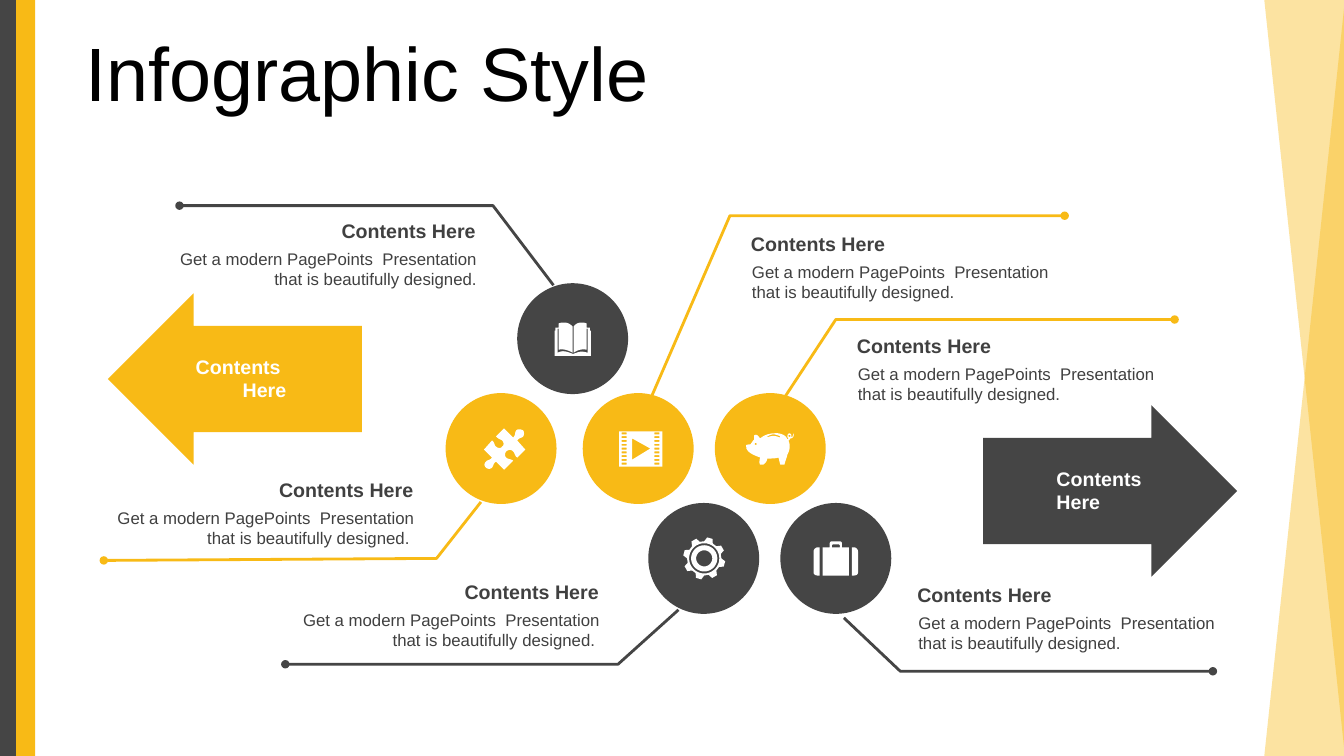
from math import cos, radians, sin
from lxml import etree
from pptx import Presentation
from pptx.dml.color import RGBColor
from pptx.enum.shapes import MSO_SHAPE as Shape
from pptx.enum.text import MSO_ANCHOR as Anchor, MSO_AUTO_SIZE as AutoSize, PP_ALIGN as Align
from pptx.oxml.ns import qn
from pptx.util import Inches, Pt

GOLD, GRAY, WHITE, TEXT, BLACK = "F8BA16", "454545", "FFFFFF", "404040", "000000"
HEADING = "Contents Here"
BODY = "Get a modern PagePoints  Presentation that is beautifully designed."
ITEMS = [
    (1.67, 2.42, 3.16, Align.RIGHT, BODY),
    (0.88, 4.99, 3.33, Align.RIGHT, BODY + " "),
    (2.62, 6.0, 3.43, Align.RIGHT, BODY + " "),
    (7.36, 2.55, 3.15, Align.LEFT, BODY),
    (8.41, 3.56, 3.23, Align.LEFT, BODY),
    (9.01, 6.03, 3.21, Align.LEFT, BODY),
]
ARROWS = [
    (1.07, 2.91, 0, GOLD, 1.7, 3.47, Align.RIGHT, ["Contents ", "Here"]),
    (9.75, 4.02, 180, GRAY, 10.38, 4.58, Align.LEFT, ["Contents", "Here"]),
]
CIRCLES = [(5.13, 2.81, GRAY), (4.42, 3.9, GOLD), (5.78, 3.9, GOLD),
           (7.09, 3.9, GOLD), (6.43, 4.99, GRAY), (7.74, 4.99, GRAY)]
LEADERS = [
    (GRAY, [(5.49, 2.83), (4.89, 2.04), (1.78, 2.04)]),
    (GOLD, [(4.77, 4.98), (4.33, 5.54), (1.03, 5.56)]),
    (GRAY, [(6.73, 6.05), (6.13, 6.59), (2.83, 6.59)]),
    (GRAY, [(8.37, 6.13), (8.93, 6.66), (12.03, 6.66)]),
    (GOLD, [(6.46, 3.94), (7.24, 2.14), (10.56, 2.14)]),
    (GOLD, [(7.79, 3.93), (8.29, 3.17), (11.65, 3.17)]),
]
PUZZLE = [[
    (5.19, 4.27), (5.2, 4.29, 5.2, 4.31, 5.19, 4.33), (5.17, 4.35, 5.15, 4.34, 5.13, 4.37),
    (5.21, 4.46), (5.13, 4.54), (5.1, 4.52, 5.11, 4.49, 5.08, 4.47),
    (5.06, 4.46, 5.04, 4.46, 5.02, 4.48), (5.01, 4.49, 5, 4.52, 5.02, 4.54),
    (5.05, 4.56, 5.06, 4.55, 5.09, 4.57), (5, 4.66), (4.92, 4.58),
    (4.89, 4.6, 4.9, 4.61, 4.88, 4.64), (4.86, 4.66, 4.83, 4.65, 4.82, 4.64),
    (4.8, 4.62, 4.8, 4.6, 4.82, 4.58), (4.83, 4.56, 4.86, 4.57, 4.88, 4.54),
    (4.8, 4.46), (4.88, 4.37), (4.91, 4.39, 4.9, 4.42, 4.92, 4.43),
    (4.94, 4.45, 4.97, 4.45, 4.98, 4.43), (5, 4.42, 5, 4.39, 4.98, 4.37),
    (4.95, 4.35, 4.95, 4.36, 4.92, 4.33), (5, 4.25), (5.09, 4.34),
    (5.12, 4.31, 5.1, 4.3, 5.12, 4.27), (5.14, 4.25, 5.17, 4.26, 5.19, 4.27),
]]
BOOK = [[
    (5.68, 3.51), (5.69, 3.51), (5.74, 3.49, 5.77, 3.48, 5.83, 3.5), (5.83, 3.26),
    (5.82, 3.26), (5.82, 3.47), (5.78, 3.46, 5.73, 3.47, 5.69, 3.5), (5.69, 3.24),
    (5.71, 3.21, 5.74, 3.2, 5.77, 3.2), (5.78, 3.2, 5.8, 3.2, 5.82, 3.21), (5.82, 3.25),
    (5.85, 3.25), (5.85, 3.28), (5.86, 3.28), (5.86, 3.53), (5.5, 3.53), (5.5, 3.28),
    (5.51, 3.28), (5.51, 3.25), (5.54, 3.25), (5.54, 3.21),
    (5.56, 3.2, 5.58, 3.2, 5.59, 3.2), (5.63, 3.2, 5.65, 3.21, 5.68, 3.24), (5.68, 3.5),
    (5.63, 3.47, 5.58, 3.46, 5.54, 3.47), (5.54, 3.26), (5.53, 3.26), (5.53, 3.5),
    (5.59, 3.47, 5.62, 3.49, 5.68, 3.51),
]]
PIG = [
    [(7.67, 4.31), (7.65, 4.31, 7.63, 4.32, 7.61, 4.33), (7.61, 4.34),
     (7.65, 4.32, 7.69, 4.32, 7.73, 4.34), (7.74, 4.33), (7.72, 4.32, 7.69, 4.31, 7.67, 4.31)],
    [(7.67, 4.3), (7.72, 4.29, 7.78, 4.31, 7.8, 4.34), (7.81, 4.36), (7.82, 4.35),
     (7.81, 4.34, 7.81, 4.34, 7.81, 4.33), (7.81, 4.31, 7.82, 4.3, 7.83, 4.3),
     (7.84, 4.3, 7.85, 4.31, 7.85, 4.33), (7.85, 4.34), (7.86, 4.33, 7.86, 4.34, 7.87, 4.3),
     (7.88, 4.33, 7.86, 4.35, 7.84, 4.35), (7.83, 4.36, 7.83, 4.37, 7.82, 4.37), (7.83, 4.4),
     (7.84, 4.45, 7.82, 4.49, 7.81, 4.51), (7.8, 4.55, 7.79, 4.57, 7.78, 4.61), (7.74, 4.61),
     (7.73, 4.59, 7.73, 4.56, 7.72, 4.54), (7.69, 4.55, 7.64, 4.55, 7.61, 4.55),
     (7.61, 4.57, 7.59, 4.6, 7.57, 4.61), (7.54, 4.61), (7.53, 4.61, 7.53, 4.56, 7.54, 4.54),
     (7.49, 4.52, 7.39, 4.49, 7.4, 4.42), (7.4, 4.41, 7.43, 4.41, 7.44, 4.41),
     (7.46, 4.39, 7.46, 4.38, 7.48, 4.36), (7.48, 4.35, 7.48, 4.33, 7.48, 4.32),
     (7.51, 4.3, 7.52, 4.33, 7.54, 4.35), (7.57, 4.32, 7.63, 4.3, 7.67, 4.3)],
]
SUITCASE = [
    [(8.45, 5.43), (8.47, 5.43), (8.49, 5.43, 8.51, 5.45, 8.51, 5.47), (8.51, 5.68),
     (8.51, 5.7, 8.49, 5.71, 8.47, 5.71), (8.45, 5.71)],
    [(8.11, 5.43), (8.13, 5.43), (8.13, 5.71), (8.11, 5.71),
     (8.09, 5.71, 8.07, 5.7, 8.07, 5.68), (8.07, 5.47), (8.07, 5.45, 8.09, 5.43, 8.11, 5.43)],
    [(8.25, 5.41), (8.25, 5.43), (8.33, 5.43), (8.33, 5.41), (8.32, 5.4), (8.26, 5.4)],
    [(8.25, 5.37), (8.33, 5.37), (8.34, 5.37, 8.35, 5.38, 8.35, 5.39), (8.35, 5.43),
     (8.42, 5.43), (8.42, 5.71), (8.16, 5.71), (8.16, 5.43), (8.23, 5.43), (8.23, 5.39),
     (8.23, 5.38, 8.24, 5.37, 8.25, 5.37)],
]


def color(hex_string):
    return RGBColor.from_string(hex_string)


def box(left, top, width, height):
    return [Inches(value) for value in (left, top, width, height)]


def rectangle(left, top, right, bottom):
    return [(left, top), (right, top), (right, bottom), (left, bottom)]


def polar(center, radius, degrees):
    angle = radians(degrees)
    return center[0] + radius * cos(angle), center[1] + radius * sin(angle)


def circle(center, radius):
    return [polar(center, radius, degrees) for degrees in range(0, 360, 10)]


def flatten(contour, steps=6):
    points = []
    for segment in contour:
        if len(segment) == 2:
            points.append(segment)
            continue
        corners = [points[-1], segment[:2], segment[2:4], segment[4:]]
        for step in range(1, steps + 1):
            t = step / steps
            weights = ((1 - t) ** 3, 3 * t * (1 - t) ** 2, 3 * t * t * (1 - t), t ** 3)
            points.append(tuple(sum(w * corner[axis] for w, corner in zip(weights, corners))
                                for axis in (0, 1)))
    return points


def add_preset(slide, kind, bounds, fill):
    shape = slide.shapes.add_shape(kind, *box(*bounds))
    shape.shadow.inherit = False
    shape.fill.solid()
    shape.fill.fore_color.rgb = color(fill)
    shape.line.fill.background()
    return shape


def add_outline(slide, contours, close):
    builder = None
    for contour in contours:
        points = [(Inches(x), Inches(y)) for x, y in flatten(contour)]
        if builder is None:
            builder = slide.shapes.build_freeform(*points[0])
        else:
            builder.move_to(*points[0])
        builder.add_line_segments(points[1:], close=close)
    shape = builder.convert_to_shape()
    shape.shadow.inherit = False
    return shape


def add_text(slide, bounds, lines, size, fill, align=Align.LEFT, bold=False, right=0.1):
    frame = slide.shapes.add_textbox(*box(*bounds)).text_frame
    frame.word_wrap = True
    frame.auto_size = AutoSize.SHAPE_TO_FIT_TEXT
    frame.margin_right = Inches(right)
    frame.text = "\n".join(lines)
    for paragraph in frame.paragraphs:
        paragraph.alignment = align
        font = paragraph.runs[0].font
        font.name, font.size, font.bold = "Arial", Pt(size), bold
        font.color.rgb = color(fill)
    return frame


def add_corner(slide, flips):
    corner = add_preset(slide, Shape.RIGHT_TRIANGLE, (12.54, 0, 0.8, 7.5), GOLD)
    for flip in flips:
        corner.element.spPr.find(qn("a:xfrm")).set(flip, "1")
    tint = corner.element.spPr.find(qn("a:solidFill"))[0]
    etree.SubElement(tint, qn("a:alpha")).set("val", "40000")


def film_icon():
    holes = [rectangle(left, 4.29 + row * 0.0375, left + 0.05, 4.31 + row * 0.0375)
             for left in (6.165, 6.49) for row in range(9)]
    return [rectangle(6.14, 4.28, 6.57, 4.63), [(6.27, 4.35), (6.27, 4.56), (6.45, 4.45)]] + holes


def gear_icon(center=(6.985, 5.54)):
    profile = [(0.21, -82), (0.21, -67), (0.17, -60), (0.17, -45)]
    teeth = [polar(center, radius, degrees + 45 * tooth)
             for tooth in range(8) for radius, degrees in profile]
    return [teeth] + [circle(center, radius) for radius in (0.15, 0.13, 0.08)]


def main():
    """Build the infographic slide with arrows, icon circles and leader lines."""
    presentation = Presentation()
    presentation.slide_width, presentation.slide_height = Inches(13.33), Inches(7.5)
    slide = presentation.slides.add_slide(presentation.slide_layouts[6])
    add_corner(slide, ["flipH", "flipV"])
    for left, fill in ((0, GRAY), (0.16, GOLD)):
        add_preset(slide, Shape.RECTANGLE, (left, 0, 0.19, 7.5), fill)
    add_corner(slide, ["flipH"])
    title = add_text(slide, (0.75, 0.37, 12.26, 0.79), ["Infographic Style"], 54, BLACK)
    title.auto_size = AutoSize.NONE
    title.vertical_anchor = Anchor.MIDDLE
    title.paragraphs[0].line_spacing = 0.9
    for left, top, width, align, body in ITEMS:
        add_text(slide, (left, top, width, 0.5), [body], 12, TEXT, align)
        add_text(slide, (left - 0.01, top - 0.3, width + 0.02, 0.34), [HEADING], 14, TEXT,
                 align, True, 0.12)
    for left, top, rotation, fill, text_left, text_top, align, lines in ARROWS:
        arrow = add_preset(slide, Shape.LEFT_ARROW, (left, top, 2.52, 1.7), fill)
        arrow.adjustments[0], arrow.adjustments[1] = 0.62, 0.5
        arrow.rotation = rotation
        add_text(slide, (text_left, text_top, 1.26, 0.57), lines, 14, WHITE, align, True, 0.12)
    for left, top, fill in CIRCLES:
        add_preset(slide, Shape.OVAL, (left, top, 1.1, 1.1), fill)
    for stroke, points in LEADERS:
        leader = add_outline(slide, [points], False)
        leader.fill.background()
        leader.line.color.rgb = color(stroke)
        leader.line.width = Pt(2)
        etree.SubElement(leader.line._get_or_add_ln(), qn("a:tailEnd")).set("type", "oval")
    eyes = [circle((7.495, 4.405), 0.01), circle((7.83, 4.325), 0.01)]
    for contours in (PUZZLE, BOOK, film_icon(), PIG + eyes, SUITCASE, gear_icon()):
        icon = add_outline(slide, contours, True)
        icon.fill.solid()
        icon.fill.fore_color.rgb = color(WHITE)
        icon.line.fill.background()
    presentation.save("out.pptx")


if __name__ == "__main__":
    main()
